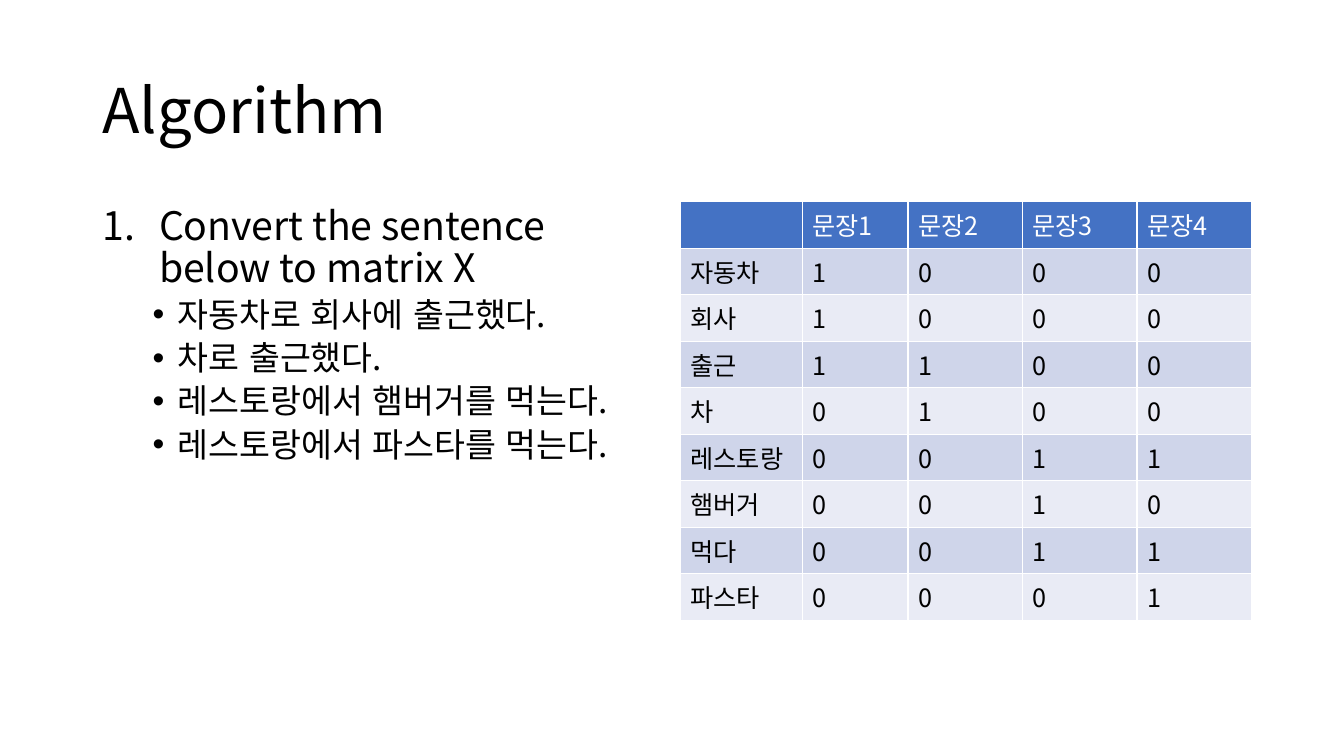
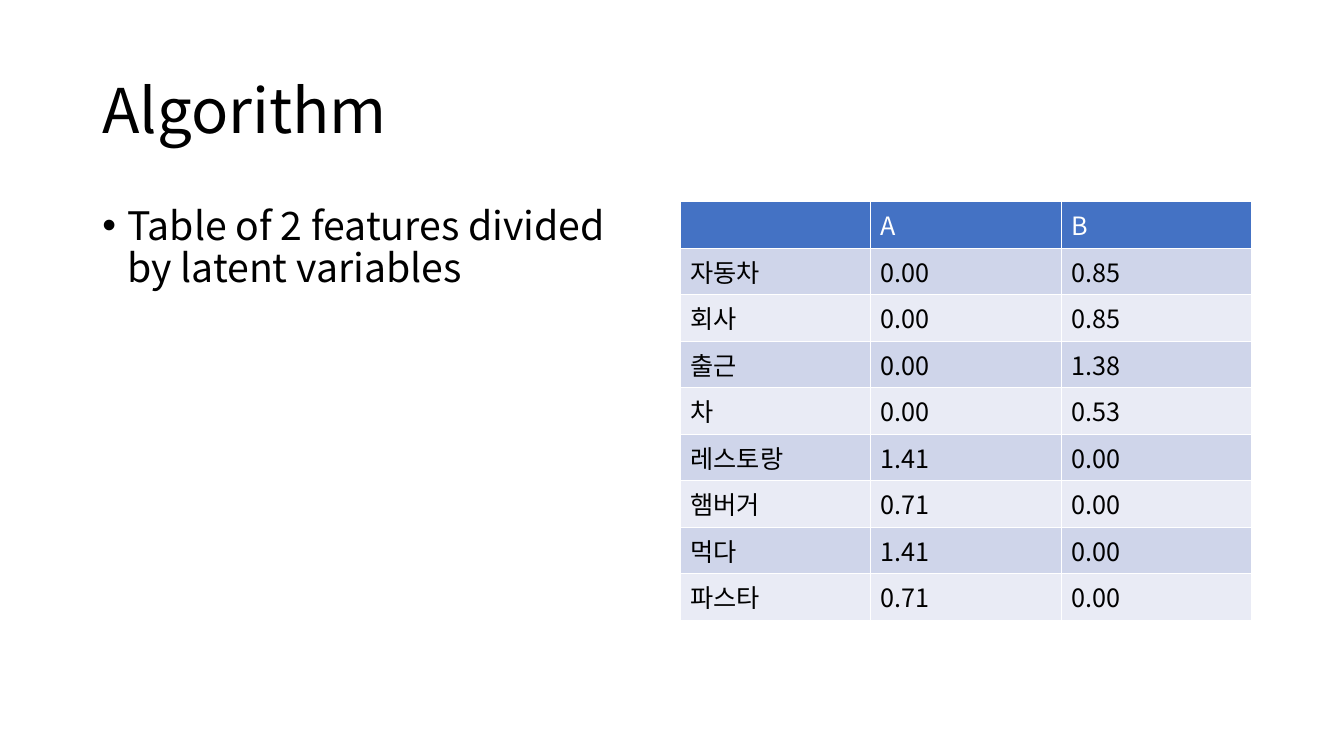
from pptx import Presentation
from pptx.dml.color import RGBColor
from pptx.enum.lang import MSO_LANGUAGE_ID
from pptx.enum.text import MSO_ANCHOR
from pptx.oxml.ns import qn
from pptx.util import Pt
from lxml import etree

MIDDLE, TOP = MSO_ANCHOR.MIDDLE, MSO_ANCHOR.TOP
ENGLISH, KOREAN = MSO_LANGUAGE_ID.ENGLISH_US, MSO_LANGUAGE_ID.KOREAN

FONT = "Noto Sans CJK KR"
BLACK, WHITE, HEADER = "000000", "FFFFFF", "4472C4"
BANDS = ("CFD5EA", "E9EBF5")

TITLE_BOX = (66, 28.8, 828, 104.4)
BODY_BOX = (66, 144, 408, 342.6)
TABLE_LEFT, TABLE_TOP, ROW_HEIGHT = 486, 144, 33.25

# Paragraph kinds: size, space before, left margin, hanging indent, bullet
STEP = (28, 10, 40.5, 40.5, "1.")
POINT = (28, 10, 18, 18, "•")
SUBPOINT = (24, 5, 54, 18, "•")

TERMS = ["자동차", "회사", "출근", "차", "레스토랑", "햄버거", "먹다", "파스타"]

SLIDES = [
    {
        "title": "Algorithm",
        "body": [
            (STEP, "Convert the sentence below to matrix X"),
            (SUBPOINT, "자동차로 회사에 출근했다."),
            (SUBPOINT, "차로 출근했다."),
            (SUBPOINT, "레스토랑에서 햄버거를 먹는다."),
            (SUBPOINT, "레스토랑에서 파스타를 먹는다."),
        ],
        "columns": ["문장1", "문장2", "문장3", "문장4"],
        "widths": [87, 75.6, 81.8, 81.8, 81.8],
        "values": ["1000", "1000", "1100", "0100",
                   "0011", "0010", "0011", "0001"],
    },
    {
        "title": "Algorithm",
        "body": [(POINT, "Table of 2 features divided by latent variables")],
        "columns": ["A", "B"],
        "widths": [136] * 3,
        "values": [("0.00", "0.85"), ("0.00", "0.85"), ("0.00", "1.38"),
                   ("0.00", "0.53"), ("1.41", "0.00"), ("0.71", "0.00"),
                   ("1.41", "0.00"), ("0.71", "0.00")],
    },
]


def rgb(color):
    return RGBColor.from_string(color)


def style_runs(paragraph, size, color=BLACK):
    """Set font and language for Latin and for Korean text."""
    for run in paragraph.runs:
        run.font.size = Pt(size)
        run.font.bold = False
        run.font.color.rgb = rgb(color)
        run.font.language_id = ENGLISH if run.text.isascii() else KOREAN
        run.font.name = FONT
        east_asian = etree.Element(qn("a:ea"), typeface=FONT)
        run.font._element.find(qn("a:latin")).addnext(east_asian)


def set_bullet(paragraph, margin, hanging, bullet):
    properties = paragraph._p.get_or_add_pPr()
    properties.set("marL", str(Pt(margin)))
    properties.set("indent", str(-Pt(hanging)))
    if bullet == "1.":
        etree.SubElement(properties, qn("a:buAutoNum"), type="arabicPeriod")
    else:
        etree.SubElement(properties, qn("a:buFont"), typeface="Arial")
        etree.SubElement(properties, qn("a:buChar"), char=bullet)


def add_text_frame(slide, box, anchor):
    frame = slide.shapes.add_textbox(*map(Pt, box)).text_frame
    frame.word_wrap = True
    frame.vertical_anchor = anchor
    return frame


def add_title(slide, title):
    frame = add_text_frame(slide, TITLE_BOX, MIDDLE)
    frame.text = title
    frame.paragraphs[0].line_spacing = 0.9
    style_runs(frame.paragraphs[0], 44)


def add_body(slide, body):
    frame = add_text_frame(slide, BODY_BOX, TOP)
    frame.text = "\n".join(text for _, text in body)
    for paragraph, (kind, _) in zip(frame.paragraphs, body):
        size, before, margin, hanging, bullet = kind
        paragraph.line_spacing = 0.9
        paragraph.space_before = Pt(before)
        set_bullet(paragraph, margin, hanging, bullet)
        style_runs(paragraph, size)


def add_borders(cell):
    properties = cell._tc.get_or_add_tcPr()
    for side in "LRTB":
        line = etree.SubElement(properties, qn(f"a:ln{side}"), w=str(Pt(1)))
        fill = etree.SubElement(line, qn("a:solidFill"))
        etree.SubElement(fill, qn("a:srgbClr"), val=WHITE)


def add_term_table(slide, columns, widths, values):
    rows = [["", *columns]]
    rows += [[term, *numbers] for term, numbers in zip(TERMS, values)]
    table = slide.shapes.add_table(
        len(rows), len(widths), Pt(TABLE_LEFT), Pt(TABLE_TOP),
        Pt(sum(widths)), Pt(ROW_HEIGHT * len(rows))).table
    for column, width in zip(table.columns, widths):
        column.width = Pt(width)
    for r, row in enumerate(rows):
        table.rows[r].height = Pt(ROW_HEIGHT)
        is_header = r == 0
        for c, text in enumerate(row):
            cell = table.cell(r, c)
            cell.text_frame.text = text
            style_runs(cell.text_frame.paragraphs[0], 18,
                       WHITE if is_header else BLACK)
            add_borders(cell)
            cell.fill.solid()
            cell.fill.fore_color.rgb = rgb(HEADER if is_header
                                           else BANDS[(r - 1) % 2])


def main():
    deck = Presentation()
    deck.slide_width, deck.slide_height = Pt(960), Pt(540)
    blank = deck.slide_layouts[6]
    for content in SLIDES:
        slide = deck.slides.add_slide(blank)
        add_title(slide, content["title"])
        add_body(slide, content["body"])
        add_term_table(slide, content["columns"], content["widths"],
                       content["values"])
    deck.save("out.pptx")


if __name__ == "__main__":
    main()
